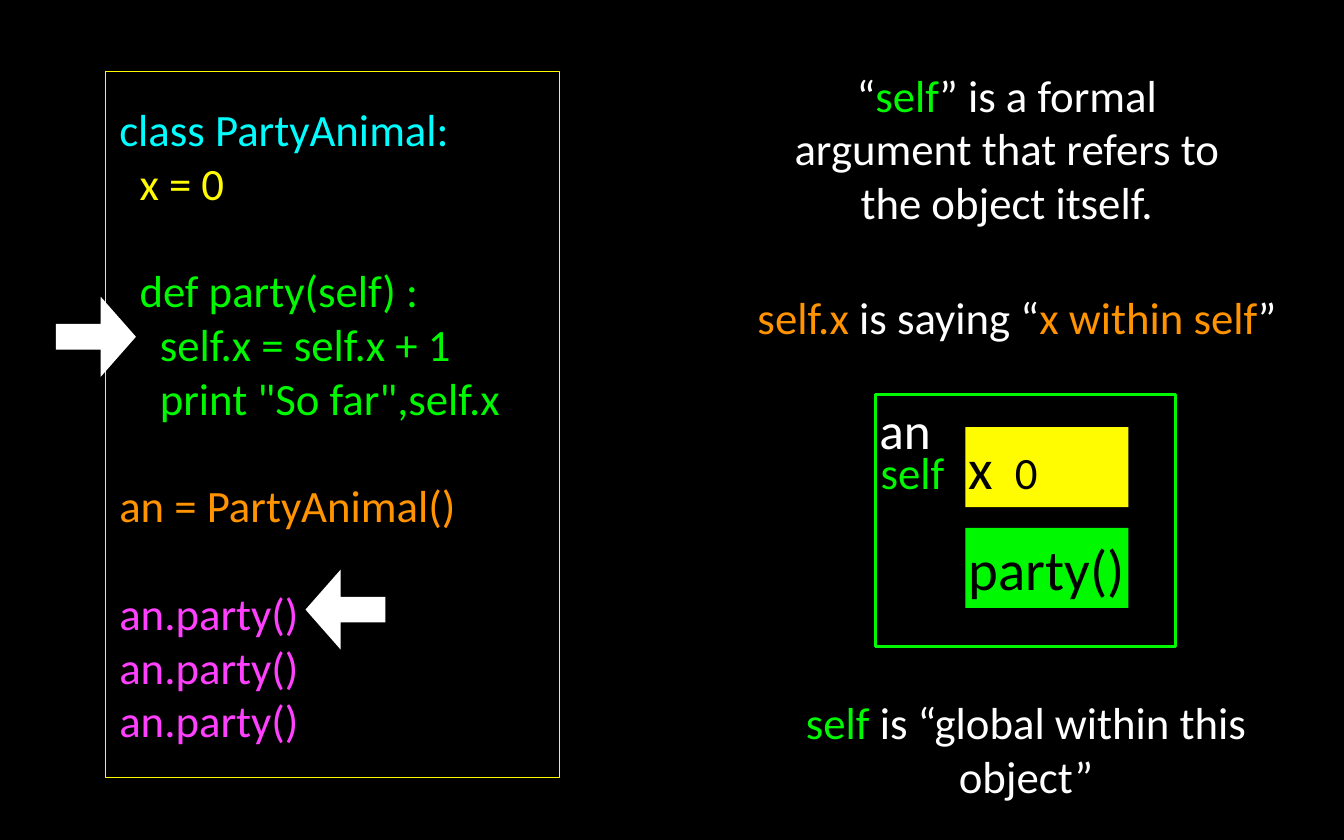
from dataclasses import dataclass

from pptx import Presentation
from pptx.dml.color import RGBColor
from pptx.enum.shapes import MSO_SHAPE
from pptx.enum.text import MSO_ANCHOR, PP_ALIGN
from pptx.util import Pt


@dataclass(frozen=True)
class Theme:
    font: str = "Calibri"
    black: str = "000000"
    white: str = "FFFFFF"
    cyan: str = "00FDFF"
    yellow: str = "FFFB00"
    green: str = "00F900"
    orange: str = "FF9300"
    magenta: str = "FF40FF"
    body_size: int = 56
    object_size: int = 64
    member_size: int = 71
    inset: float = 4.5
    code_gap: int = 67


THEME = Theme()

# Content: blocks of code, each line as (text, colour)
CODE_BLOCKS = [
    [(" class PartyAnimal:", THEME.cyan), ("   x = 0", THEME.yellow)],
    [("   def party(self) :", THEME.green),
     ("     self.x = self.x + 1", THEME.green),
     ('     print "So far",self.x', THEME.green)],
    [(" an = PartyAnimal()", THEME.orange)],
    [(" an.party()", THEME.magenta)] * 3,
]

# Notes: (left, top, width, height), wrap, runs
NOTES = [
    ((970, 80, 578, 210), True,
     [("“", THEME.white), ("self", THEME.green),
      ("” is a formal argument that refers to the object itself.", THEME.white)]),
    ((888, 358.5, 767, 75), False,
     [("self.x", THEME.orange), (" is saying “", THEME.white),
      ("x within self", THEME.orange), ("”", THEME.white)]),
    ((924, 864, 718, 142.5), True,
     [("self", THEME.green), (" is “global within this object”", THEME.white)]),
]
OBJECT_LABELS = [
    ((1263, 552, 40, 75), False, [("0", THEME.black)]),
    ((1091, 552, 100, 75), False, [("self", THEME.green)]),
]
MEMBERS = [("x", THEME.yellow), ("party()", THEME.green)]
MEMBER_LEFT, MEMBER_TOP, MEMBER_WIDTH, MEMBER_HEIGHT, MEMBER_STEP = 1207, 534, 204, 100, 126
ARROWS = [(MSO_SHAPE.RIGHT_ARROW, 70, 371), (MSO_SHAPE.LEFT_ARROW, 382, 712)]
ARROW_SIZE = 100


def color(value):
    return RGBColor.from_string(value)


def write(shape, paragraphs, *, size=THEME.body_size, align=PP_ALIGN.LEFT,
          anchor=MSO_ANCHOR.MIDDLE, wrap=True, right_inset=THEME.inset):
    """Fill a shape with paragraphs given as (runs, space before)."""
    frame = shape.text_frame
    frame.word_wrap = wrap
    frame.vertical_anchor = anchor
    frame.margin_left = frame.margin_top = frame.margin_bottom = Pt(THEME.inset)
    frame.margin_right = Pt(right_inset)
    for index, (runs, space_before) in enumerate(paragraphs):
        paragraph = frame.add_paragraph() if index else frame.paragraphs[0]
        paragraph.alignment = align
        paragraph.space_before = Pt(space_before)
        for text, run_color in runs:
            run = paragraph.add_run()
            run.text = text
            run.font.name = THEME.font
            run.font.size = Pt(size)
            run.font.color.rgb = color(run_color)


def add_block(slide, box, *, kind=MSO_SHAPE.RECTANGLE, fill=None, line=None, line_width=1):
    shape = slide.shapes.add_shape(kind, *map(Pt, box))
    shape.shadow.inherit = False
    if fill:
        shape.fill.solid()
        shape.fill.fore_color.rgb = color(fill)
    else:
        shape.fill.background()
    if line:
        shape.line.color.rgb = color(line)
        shape.line.width = Pt(line_width)
    else:
        shape.line.fill.background()
    return shape


def add_labels(slide, labels):
    for box, wrap, runs in labels:
        text_box = slide.shapes.add_textbox(*map(Pt, box))
        write(text_box, [(runs, 0)], align=PP_ALIGN.CENTER, wrap=wrap)


def add_code(slide):
    panel = add_block(slide, (132, 89.5, 568, 882), line=THEME.yellow)
    paragraphs = []
    for block_index, block in enumerate(CODE_BLOCKS):
        for line_index, line in enumerate(block):
            starts_new_block = block_index > 0 and line_index == 0
            paragraphs.append(([line], THEME.code_gap if starts_new_block else 0))
    write(panel, paragraphs)


def add_object(slide):
    frame = add_block(slide, (1095, 493, 375, 315), line=THEME.green, line_width=4)
    write(frame, [([("an", THEME.white)], 0)], size=THEME.object_size, anchor=MSO_ANCHOR.TOP)
    for index, (name, fill) in enumerate(MEMBERS):
        top = MEMBER_TOP + index * MEMBER_STEP
        member = add_block(slide, (MEMBER_LEFT, top, MEMBER_WIDTH, MEMBER_HEIGHT), fill=fill)
        # The method name needs nearly the full width of its box
        write(member, [([(name, THEME.black)], 0)], size=THEME.member_size, right_inset=0)
    add_labels(slide, OBJECT_LABELS)


def add_arrows(slide):
    for kind, left, top in ARROWS:
        arrow = add_block(slide, (left, top, ARROW_SIZE, ARROW_SIZE), kind=kind, fill=THEME.white)
        arrow.adjustments[0] = 0.32
        arrow.adjustments[1] = 0.44


def main():
    presentation = Presentation()
    presentation.slide_width = Pt(1680.5)
    presentation.slide_height = Pt(1050)
    slide = presentation.slides.add_slide(presentation.slide_layouts[6])
    slide.background.fill.solid()
    slide.background.fill.fore_color.rgb = color(THEME.black)

    # Code on the left, the object and its notes on the right
    add_code(slide)
    add_object(slide)
    add_arrows(slide)
    add_labels(slide, NOTES)
    presentation.save("out.pptx")


if __name__ == "__main__":
    main()
